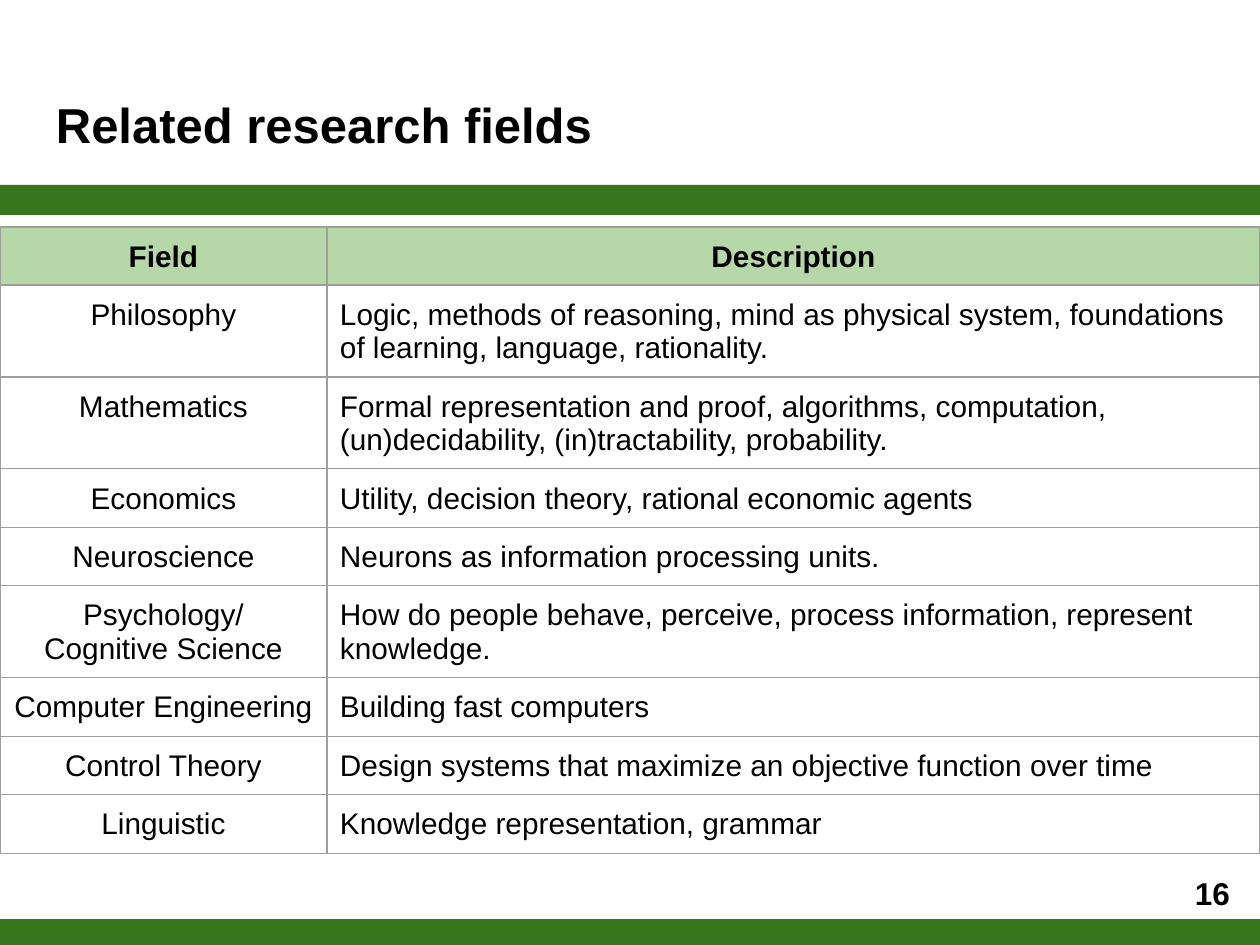
from lxml.etree import SubElement
from pptx import Presentation
from pptx.dml.color import RGBColor
from pptx.enum.shapes import MSO_SHAPE
from pptx.enum.text import MSO_ANCHOR, PP_ALIGN
from pptx.oxml.ns import qn
from pptx.util import Emu, Pt


def px(n):
    return Emu(round(n * 914400 / 126))


def paint(target, color):
    target.solid()
    target.fore_color.rgb = RGBColor.from_string(color)


prs = Presentation()
prs.slide_width, prs.slide_height = px(1260), px(945)
s = prs.slides.add_slide(prs.slide_layouts[6])
paint(s.background.fill, "FFFFFF")

for top in (919, 185):
    sp = s.shapes.add_shape(MSO_SHAPE.RECTANGLE, 0, px(top), px(1260), px(30))
    sp.shadow.inherit = False
    paint(sp.fill, "38761D")
    sp.line.fill.background()

labels = [
    ("Related research fields", 43, 81, 1174, 105, 28, PP_ALIGN.LEFT, MSO_ANCHOR.TOP),
    ("16", 1168, 857, 75, 72, 18, PP_ALIGN.RIGHT, MSO_ANCHOR.MIDDLE),
]
for text, left, top, width, height, size, align, anchor in labels:
    tf = s.shapes.add_textbox(px(left), px(top), px(width), px(height)).text_frame
    tf.word_wrap = True
    tf.vertical_anchor = anchor
    tf.margin_left = tf.margin_right = tf.margin_top = tf.margin_bottom = px(13)
    tf.text = text
    p = tf.paragraphs[0]
    p.alignment = align
    font = p.runs[0].font
    font.name, font.size, font.bold = "Arial", Pt(size), True
    paint(font.fill, "000000")

rows = [
    ("Field", "Description", 58),
    ("Philosophy", "Logic, methods of reasoning, mind as physical system, "
     "foundations of learning, language, rationality.", 92),
    ("Mathematics", "Formal representation and proof, algorithms, computation, "
     "(un)decidability, (in)tractability, probability.", 92),
    ("Economics", "Utility, decision theory, rational economic agents", 59),
    ("Neuroscience", "Neurons as information processing units.", 58),
    ("Psychology/\nCognitive Science", "How do people behave, perceive, process "
     "information, represent knowledge.", 92),
    ("Computer Engineering", "Building fast computers", 59),
    ("Control Theory", "Design systems that maximize an objective function over time", 58),
    ("Linguistic", "Knowledge representation, grammar", 59),
]
total = sum(row[2] for row in rows)
table = s.shapes.add_table(len(rows), 2, 0, px(227), px(1260), px(total)).table
table.horz_banding = False
for column, width in zip(table.columns, (327, 933)):
    column.width = px(width)

for i, (field, description, height) in enumerate(rows):
    table.rows[i].height = px(height)
    for j, text in enumerate((field, description)):
        cell = table.cell(i, j)
        cell.margin_left = cell.margin_right = cell.margin_top = px(13)
        cell.margin_bottom = px(6)
        cell.text = text
        for p in cell.text_frame.paragraphs:
            p.alignment = PP_ALIGN.CENTER if i == 0 or j == 0 else PP_ALIGN.LEFT
            font = p.runs[0].font
            font.name, font.size, font.bold = "Arial", Pt(17), i == 0
            paint(font.fill, "000000")
        tc_pr = cell._tc.get_or_add_tcPr()
        for side in ("lnL", "lnR", "lnT", "lnB"):
            ln = SubElement(tc_pr, qn(f"a:{side}"), w=str(Pt(0.75)))
            SubElement(SubElement(ln, qn("a:solidFill")), qn("a:srgbClr"), val="9E9E9E")
        if i == 0:
            paint(cell.fill, "B6D7A8")
        else:
            cell.fill.background()

prs.save("out.pptx")
